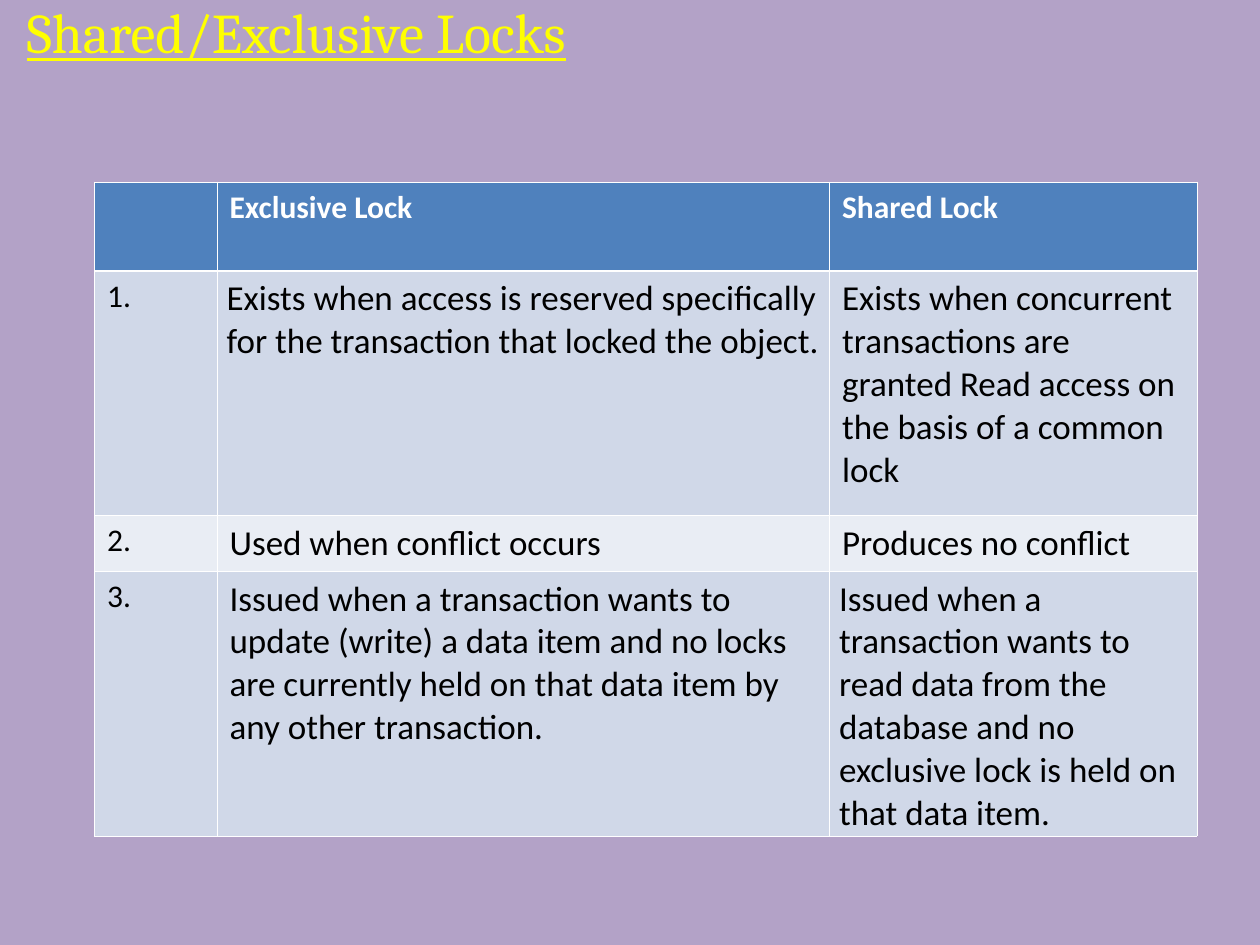
from lxml.etree import SubElement
from pptx import Presentation
from pptx.dml.color import RGBColor
from pptx.enum.text import MSO_ANCHOR, MSO_AUTO_SIZE, PP_ALIGN
from pptx.oxml.ns import qn
from pptx.util import Pt

TITLE = "Shared/Exclusive Locks"
ROWS = [
    ("", "Exclusive Lock", "Shared Lock"),
    ("1.",
     "Exists when access is reserved specifically for the transaction that locked the object.",
     "Exists when concurrent transactions are granted Read access on the basis of a common lock"),
    ("2.", "Used when conflict occurs", "Produces no conflict"),
    ("3.",
     "Issued when a transaction wants to update (write) a data item and no locks "
     "are currently held on that data item by any other transaction.",
     "Issued when a transaction wants to read data from the database and no "
     "exclusive lock is held on that data item."),
]
COLUMN_WIDTHS = [70, 350, 210]
ROW_HEIGHTS = [51, 139.5, 32, 147]
TABLE_LEFT, TABLE_TOP = 54, 104
NARROW_MARGIN_CELLS = {(1, 1), (3, 2)}
BACKGROUND, YELLOW, WHITE, BLACK = "B3A2C7", "FFFF00", "FFFFFF", "000000"
HEADER_FILL, BAND_FILLS = "4F81BD", ("E9EDF4", "D0D8E8")
THIN, THICK = 0.45, 1.47


def paint(fill, color):
    fill.solid()
    fill.fore_color.rgb = RGBColor.from_string(color)


def style_font(font, name, size, color, bold=False):
    font.name, font.size, font.bold = name, Pt(size), bold
    font.color.rgb = RGBColor.from_string(color)


def add_borders(cell, top, bottom):
    properties = cell._tc.get_or_add_tcPr()
    for side, width in (("L", THIN), ("R", THIN), ("T", top), ("B", bottom)):
        line = SubElement(properties, qn(f"a:ln{side}"), w=str(Pt(width)))
        solid = SubElement(line, qn("a:solidFill"))
        SubElement(solid, qn("a:srgbClr"), val=WHITE)


def add_title(slide):
    title = slide.shapes.title
    title.left, title.top, title.width, title.height = Pt(8), Pt(-5), Pt(325.5), Pt(46)
    frame = title.text_frame
    frame.text = TITLE
    frame.word_wrap = False
    frame.auto_size = MSO_AUTO_SIZE.SHAPE_TO_FIT_TEXT
    frame.vertical_anchor = MSO_ANCHOR.MIDDLE
    paragraph = frame.paragraphs[0]
    paragraph.alignment = PP_ALIGN.LEFT
    font = paragraph.runs[0].font
    style_font(font, "Cambria", 32, YELLOW)
    font.underline = True


def fill_cell(cell, row, column, text):
    header = row == 0
    add_borders(cell, THICK if row == 1 else THIN, THICK if header else THIN)
    paint(cell.fill, HEADER_FILL if header else BAND_FILLS[row % 2])
    margin = 5.5 if (row, column) in NARROW_MARGIN_CELLS else 7.2
    cell.margin_left = cell.margin_right = Pt(margin)
    cell.margin_top = cell.margin_bottom = Pt(3.6)
    cell.text_frame.text = text
    size = 18 if header or column == 0 else 20
    for run in cell.text_frame.paragraphs[0].runs:
        style_font(run.font, "Calibri", size, WHITE if header else BLACK, header)


def add_lock_table(slide):
    table = slide.shapes.add_table(
        len(ROWS), len(COLUMN_WIDTHS), Pt(TABLE_LEFT), Pt(TABLE_TOP),
        Pt(sum(COLUMN_WIDTHS)), Pt(sum(ROW_HEIGHTS))).table
    for column, width in zip(table.columns, COLUMN_WIDTHS):
        column.width = Pt(width)
    for row, height in zip(table.rows, ROW_HEIGHTS):
        row.height = Pt(height)
    for row, texts in enumerate(ROWS):
        for column, text in enumerate(texts):
            fill_cell(table.cell(row, column), row, column, text)


def main():
    presentation = Presentation()
    presentation.slide_width, presentation.slide_height = Pt(720), Pt(540)
    slide = presentation.slides.add_slide(presentation.slide_layouts[5])
    paint(slide.background.fill, BACKGROUND)
    add_lock_table(slide)
    add_title(slide)
    presentation.save("out.pptx")


if __name__ == "__main__":
    main()
